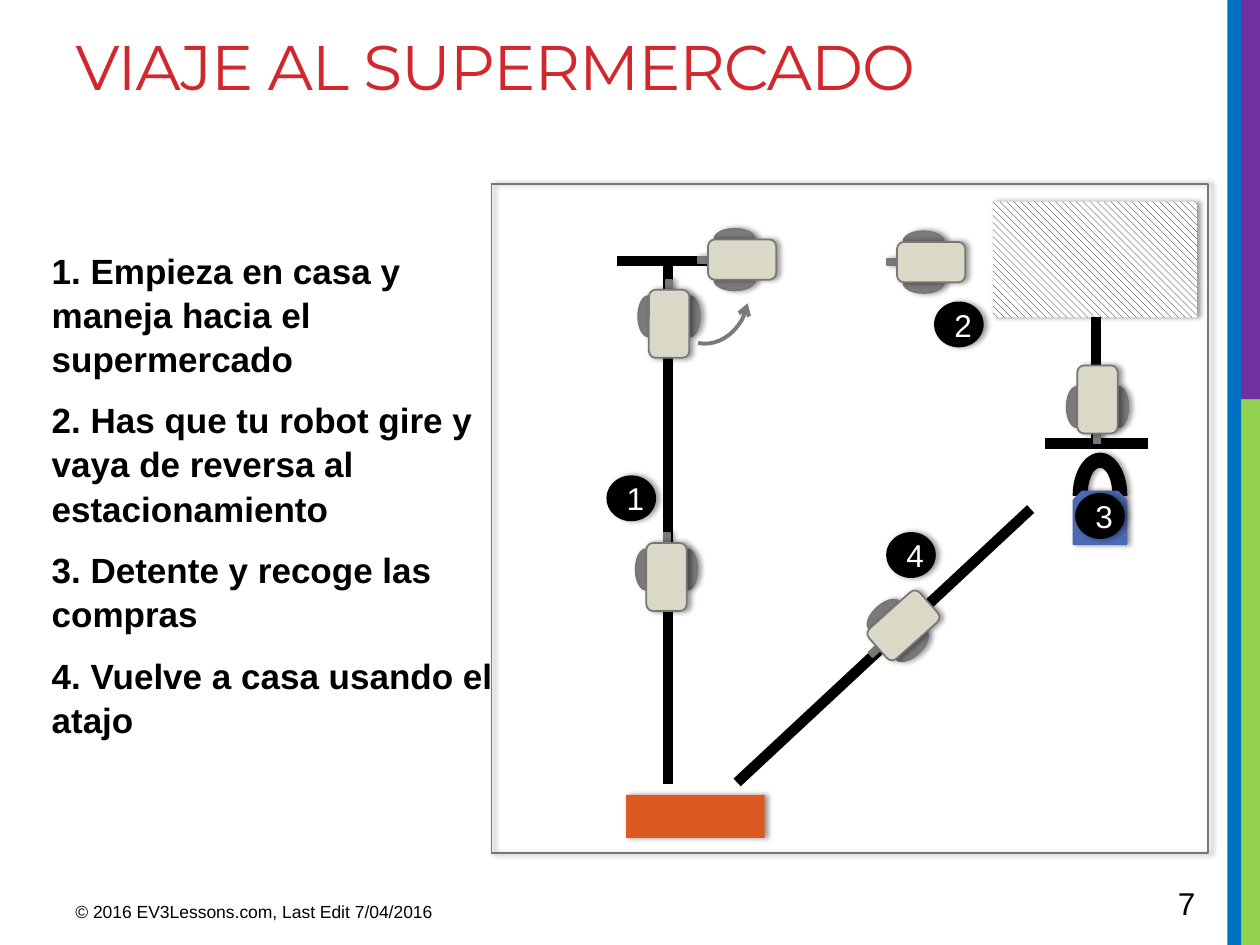
import pptx
import pptx.util
import pptx.dml.color
import pptx.enum.dml
import pptx.enum.shapes
import pptx.enum.text
import pptx.oxml
import pptx.oxml.ns

RGBColor = pptx.dml.color.RGBColor
SHAPE = pptx.enum.shapes.MSO_SHAPE
ANCHOR = pptx.enum.text.MSO_ANCHOR
ALIGN = pptx.enum.text.PP_ALIGN
Pt = pptx.util.Pt

BLACK = RGBColor(0x00, 0x00, 0x00)
WHITE = RGBColor(0xFF, 0xFF, 0xFF)
RED = RGBColor(0xD1, 0x28, 0x2E)
BLUE = RGBColor(0x00, 0x70, 0xC0)
GREEN = RGBColor(0x92, 0xD0, 0x50)
PURPLE = RGBColor(0x70, 0x30, 0xA0)
ORANGE = RGBColor(0xDC, 0x59, 0x24)
BAG_BLUE = RGBColor(0x4D, 0x6B, 0xB5)
BAG_EDGE = RGBColor(0x4E, 0x6A, 0xAE)
GRAY = RGBColor(0x7A, 0x7A, 0x7A)
EDGE = RGBColor(0x77, 0x77, 0x77)
SHELL = RGBColor(0xDA, 0xD9, 0xC8)

COLUMNS, ROWS = 100, 75

HEADING = "VIAJE AL SUPERMERCADO"
STEPS = [
    "1. Empieza en casa y maneja hacia el supermercado",
    "2. Has que tu robot gire y vaya de reversa al estacionamiento",
    "3. Detente y recoge las compras",
    "4. Vuelve a casa usando el atajo",
]
CAPTIONS = [
    ("© 2016 EV3Lessons.com, Last Edit 7/04/2016", (5, 71, 37.5, 3.1), 10),
    ("7", (92.5, 69.7, 6.9, 4), 18),
]
STRIPES = [
    ((98.4, 31.7, 1.6, 43.3), GREEN),
    ((98, 0, 2, 31.7), PURPLE),
    ((97.4, 0, 1.1, 75), BLUE),
]
MAP_FRAME = (39, 14.6, 56.9, 53.1)
SUPERMARKET = (78.8, 16, 16.2, 9.2)
HOME = (49.7, 63.1, 11, 3.4)
BAG_HANDLE = (85.2, 36, 4.2, 6.6)
BAG = (85.2, 39, 4.2, 4.2)
ROADS = [
    ((53, 62.2), (53, 20.7), BLACK),
    ((87, 35.2), (87, 25.2), BLACK),
    ((78.8, 20.7), (58.5, 20.7), WHITE),
    ((58.5, 62.1), (81.8, 40.4), BLACK),
    ((91.1, 35.2), (82.9, 35.2), BLACK),
    ((57.1, 20.7), (49, 20.7), BLACK),
]
ROBOTS = [
    ((52.9, 45.4), 0),
    ((73.5, 20.8), 270),
    ((87.1, 32.1), 180),
    ((71.4, 49.9), 228.2),
    ((58.5, 20.6), 270),
    ((53.1, 25.3), 0),
]
ROBOT_PARTS = [
    (SHAPE.OVAL, (-2.45, -1.8, 1.6, 3.2), GRAY),
    (SHAPE.OVAL, (0.85, -1.8, 1.6, 3.2), GRAY),
    (SHAPE.RECTANGLE, (-0.25, -3.1, 0.5, 1.4), GRAY),
    (SHAPE.ROUNDED_RECTANGLE, (-1.6, -2.3, 3.2, 5.4), SHELL),
]
MARKERS = [("2", 74.2, 24), ("1", 48.2, 37.8), ("3", 85.4, 39.2), ("4", 70.4, 42.3)]
MARKER_SIZE = (3.8, 3.5)
TURN = (52.3, 20.2, 7.7, 6.5)

deck = pptx.Presentation()
deck.slide_width = pptx.util.Inches(10)
deck.slide_height = pptx.util.Inches(7.5)
slide = deck.slides.add_slide(deck.slide_layouts[1])


def place(*cells):
    units = (deck.slide_width / COLUMNS, deck.slide_height / ROWS) * 2
    return [pptx.util.Emu(round(cell * unit)) for cell, unit in zip(cells, units)]


def add_xml(parent, xml):
    tag, rest = xml.split(" ", 1)
    element = pptx.oxml.parse_xml(f"<a:{tag} {pptx.oxml.ns.nsdecls('a')} {rest}")
    parent.append(element)


def draw(kind, box, fill=None, edge=None, width=1, shadow=True, parent=slide.shapes):
    shape = parent.add_shape(kind, *place(*box))
    shape.shadow.inherit = False
    if fill is None:
        shape.fill.background()
    else:
        shape.fill.solid()
        shape.fill.fore_color.rgb = fill
    if edge is None:
        shape.line.fill.background()
    else:
        shape.line.color.rgb = edge
        shape.line.width = Pt(width)
    if shadow:
        effects = shape._element.spPr.find(pptx.oxml.ns.qn("a:effectLst"))
        add_xml(effects, 'outerShdw blurRad="39370" dist="22860" dir="0" rotWithShape="0">'
                '<a:srgbClr val="000000"><a:alpha val="40000"/></a:srgbClr></a:outerShdw>')
    return shape


def write(paragraph, words, size, color, font="Arial", bold=False):
    run = paragraph.add_run()
    run.text = words
    run.font.name = font
    run.font.size = Pt(size)
    run.font.bold = bold
    run.font.color.rgb = color
    return run


def settle(holder, box):
    holder.left, holder.top, holder.width, holder.height = place(*box)
    frame = holder.text_frame
    frame.word_wrap = True
    frame.auto_size = pptx.enum.text.MSO_AUTO_SIZE.NONE
    frame.vertical_anchor = ANCHOR.TOP
    return frame


for box, color in STRIPES:
    draw(SHAPE.RECTANGLE, box, color, shadow=False)
draw(SHAPE.RECTANGLE, MAP_FRAME, edge=EDGE)

heading = settle(slide.shapes.title, (5, 1.7, 90.2, 15)).paragraphs[0]
heading.alignment = ALIGN.LEFT
heading_run = write(heading, HEADING, 36, RED, "Montserrat")
heading_run.font._element.set("spc", "-60")

steps = settle(slide.placeholders[1], (3.1, 19.1, 37.8, 43.7))
for index, step in enumerate(STEPS):
    paragraph = steps.add_paragraph() if index else steps.paragraphs[0]
    properties = paragraph._p.get_or_add_pPr()
    properties.set("marL", "0")
    properties.set("indent", "0")
    add_xml(properties, "buNone />")
    paragraph.line_spacing = 1.05
    paragraph.space_before = Pt(4 if index else 0)
    paragraph.space_after = Pt(6)
    write(paragraph, step, 20, BLACK, bold=True)

for words, box, size in CAPTIONS:
    caption = settle(slide.shapes.add_textbox(*place(*box)), box)
    write(caption.paragraphs[0], words, size, BLACK)

supermarket = draw(SHAPE.RECTANGLE, SUPERMARKET, WHITE)
supermarket.fill.patterned()
supermarket.fill.pattern = pptx.enum.dml.MSO_PATTERN.WIDE_DOWNWARD_DIAGONAL
supermarket.fill.fore_color.rgb = BLACK
supermarket.fill.back_color.rgb = WHITE
draw(SHAPE.RECTANGLE, HOME, ORANGE)
draw(SHAPE.BLOCK_ARC, BAG_HANDLE, BLACK, BLACK)
draw(SHAPE.SNIP_2_SAME_RECTANGLE, BAG, BAG_BLUE, BAG_EDGE)

for start, end, color in ROADS:
    road = slide.shapes.add_connector(
        pptx.enum.shapes.MSO_CONNECTOR.STRAIGHT, *place(*start, *end))
    road.line.color.rgb = color
    road.line.width = Pt(6)
    add_xml(road._element.spPr, "effectLst />")

for (x, y), angle in ROBOTS:
    robot = slide.shapes.add_group_shape()
    for kind, (dx, dy, width, height), color in ROBOT_PARTS:
        draw(kind, (x + dx, y + dy, width, height), color, EDGE, parent=robot.shapes)
    robot.rotation = angle

for number, x, y in MARKERS:
    marker = draw(SHAPE.OVAL, (x, y, *MARKER_SIZE), BLACK, BLACK)
    marker.text_frame.vertical_anchor = ANCHOR.MIDDLE
    label = marker.text_frame.paragraphs[0]
    label.alignment = ALIGN.CENTER
    write(label, number, 18, WHITE)

turn = draw(SHAPE.ARC, TURN, edge=GRAY, width=2.25, shadow=False)
turn.rotation = 101.1
add_xml(turn.line._get_or_add_ln(), 'headEnd type="arrow"/>')

deck.save("out.pptx")
